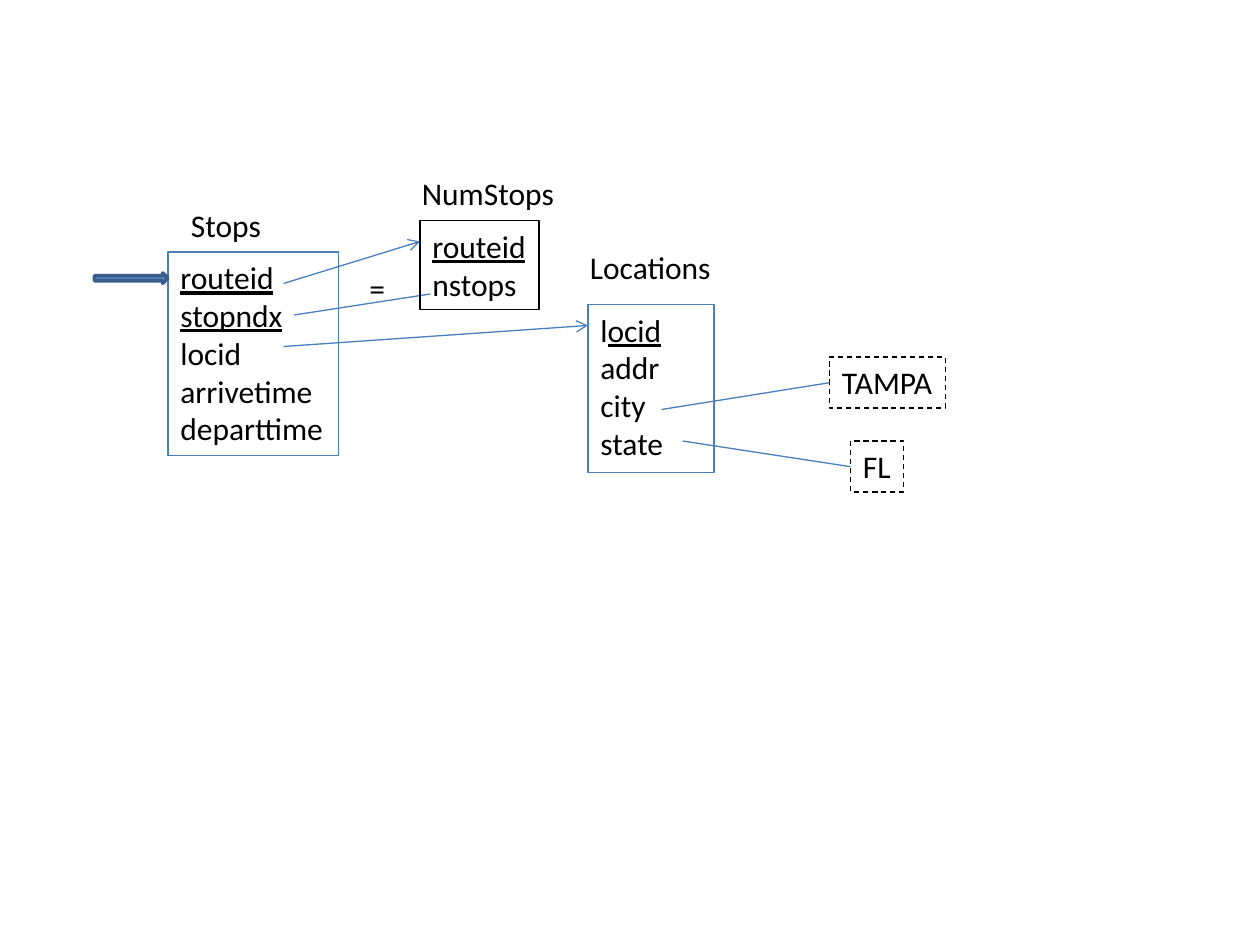
from lxml import etree
from pptx import Presentation, util as u
from pptx.dml.color import RGBColor
from pptx.enum import dml, shapes, text
from pptx.oxml.ns import qn

HUES = {"ink": "000000", "blue": "4B7EBC", "fill": "4F81BD", "edge": "3A5F8C"}


class Board:
    unit = u.Inches(1) / 12
    font = "Calibri"
    size = u.Pt(18)

    def __init__(self, slide):
        self.slide = slide

    def grid(self, *cells):
        return [u.Emu(round(cell * self.unit)) for cell in cells]

    def hue(self, name):
        return RGBColor.from_string(HUES[name])

    def stroke(self, item, hue, width=0.75, dash=False):
        item.line.color.rgb = self.hue(hue)
        item.line.width = u.Pt(width)
        if dash:
            item.line.dash_style = dml.MSO_LINE.DASH

    def label(self, box, rows, hue=None, dash=False, wrap=False):
        item = self.slide.shapes.add_textbox(*self.grid(*box))
        if hue:
            self.stroke(item, hue, dash=dash)
        frame = item.text_frame
        frame.word_wrap = wrap
        frame.auto_size = text.MSO_AUTO_SIZE.SHAPE_TO_FIT_TEXT
        for i, row in enumerate(rows):
            para = frame.add_paragraph() if i else frame.paragraphs[0]
            for words, under in row:
                run = para.add_run()
                run.text = words
                run.font.name = self.font
                run.font.size = self.size
                run.font.color.rgb = self.hue("ink")
                run.font.underline = under

    def link(self, start, end, arrow=False):
        item = self.slide.shapes.add_connector(
            shapes.MSO_CONNECTOR.STRAIGHT, *self.grid(*start, *end))
        self.stroke(item, "blue")
        if arrow:
            etree.SubElement(item.line._get_or_add_ln(), qn("a:tailEnd"), type="arrow")
        etree.SubElement(item._element.spPr, qn("a:effectLst"))

    def pointer(self, box):
        item = self.slide.shapes.add_shape(shapes.MSO_SHAPE.RIGHT_ARROW, *self.grid(*box))
        item.shadow.inherit = False
        item.fill.solid()
        item.fill.fore_color.rgb = self.hue("fill")
        self.stroke(item, "edge", 2)


def plain(*names):
    return [[(name, False)] for name in names]


def keys(*names):
    return [[(name, True)] for name in names]


def main():
    deck = Presentation()
    deck.slide_width, deck.slide_height = u.Inches(10), u.Inches(7.5)
    board = Board(deck.slides.add_slide(deck.slide_layouts[6]))

    board.label((17, 19, 9.1, 4.85), plain("Stops"))
    board.label((16, 24, 16.25, 19.4),
                keys("routeid", "stopndx") + plain("locid", "arrivetime", "departtime"), "blue")
    board.label((55, 23, 14.05, 4.85), plain("Locations"))
    board.label((56, 29, 12, 16),
                [[("l", False), ("ocid", True)]] + plain("addr", "city", "state"),
                "blue", wrap=True)
    board.link((27, 33), (56, 31), True)
    board.pointer((9, 26, 7, 1))
    board.label((79, 34, 11.05, 4.85), plain("TAMPA"), "ink", dash=True)
    board.label((81, 42, 5.05, 4.85), plain("FL"), "ink", dash=True)
    board.link((63, 39), (79, 36.45))
    board.link((65, 42), (81, 44.45))
    board.link((28, 30), (41, 28))
    board.label((39, 16, 15.1, 4.85), plain("NumStops"))
    board.label((40, 21, 11.35, 8.5), keys("routeid") + plain("nstops"), "ink")
    board.label((34, 25, 4, 4.85), plain("="))
    board.link((27, 27), (40, 23), True)

    deck.save("out.pptx")


if __name__ == "__main__":
    main()
